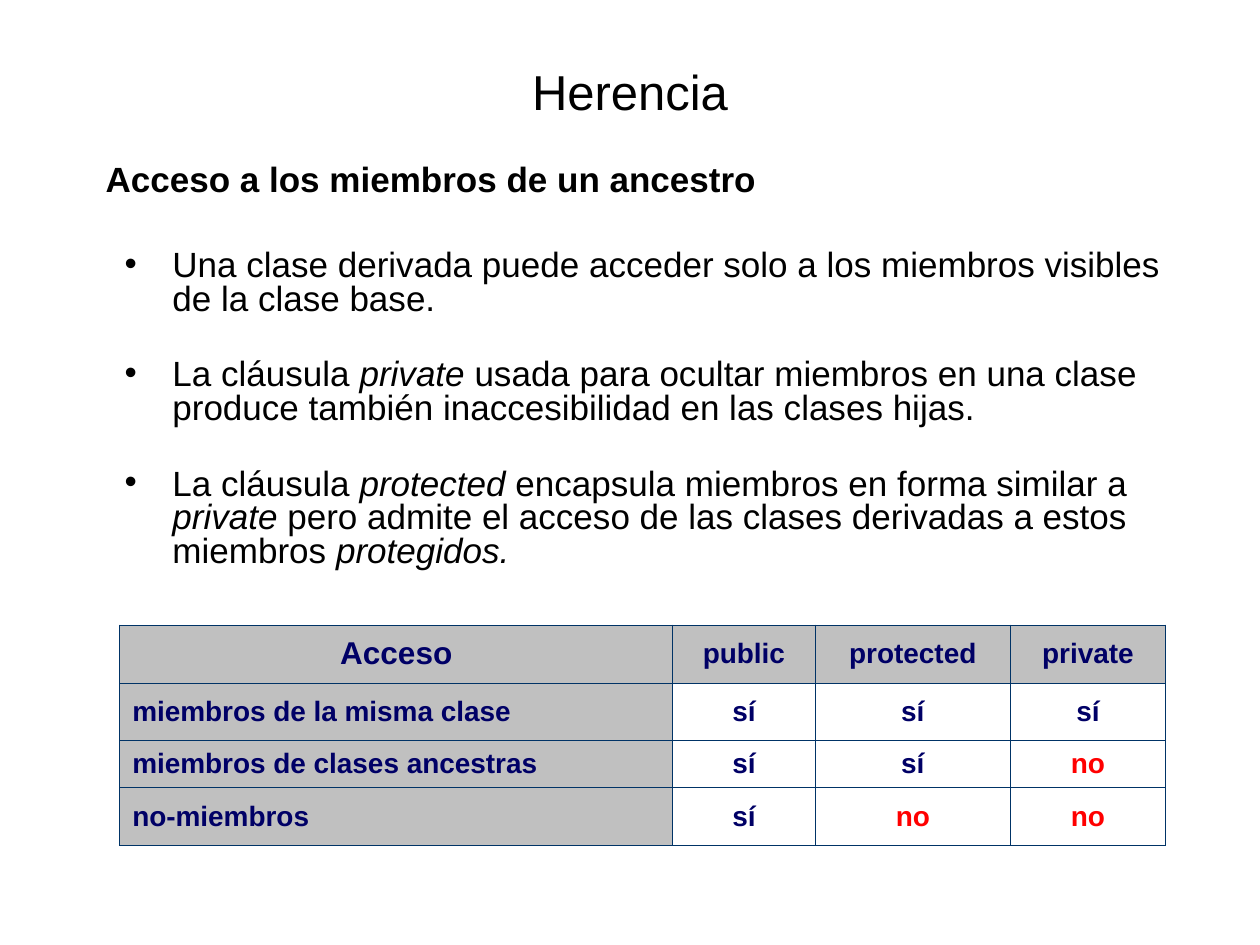
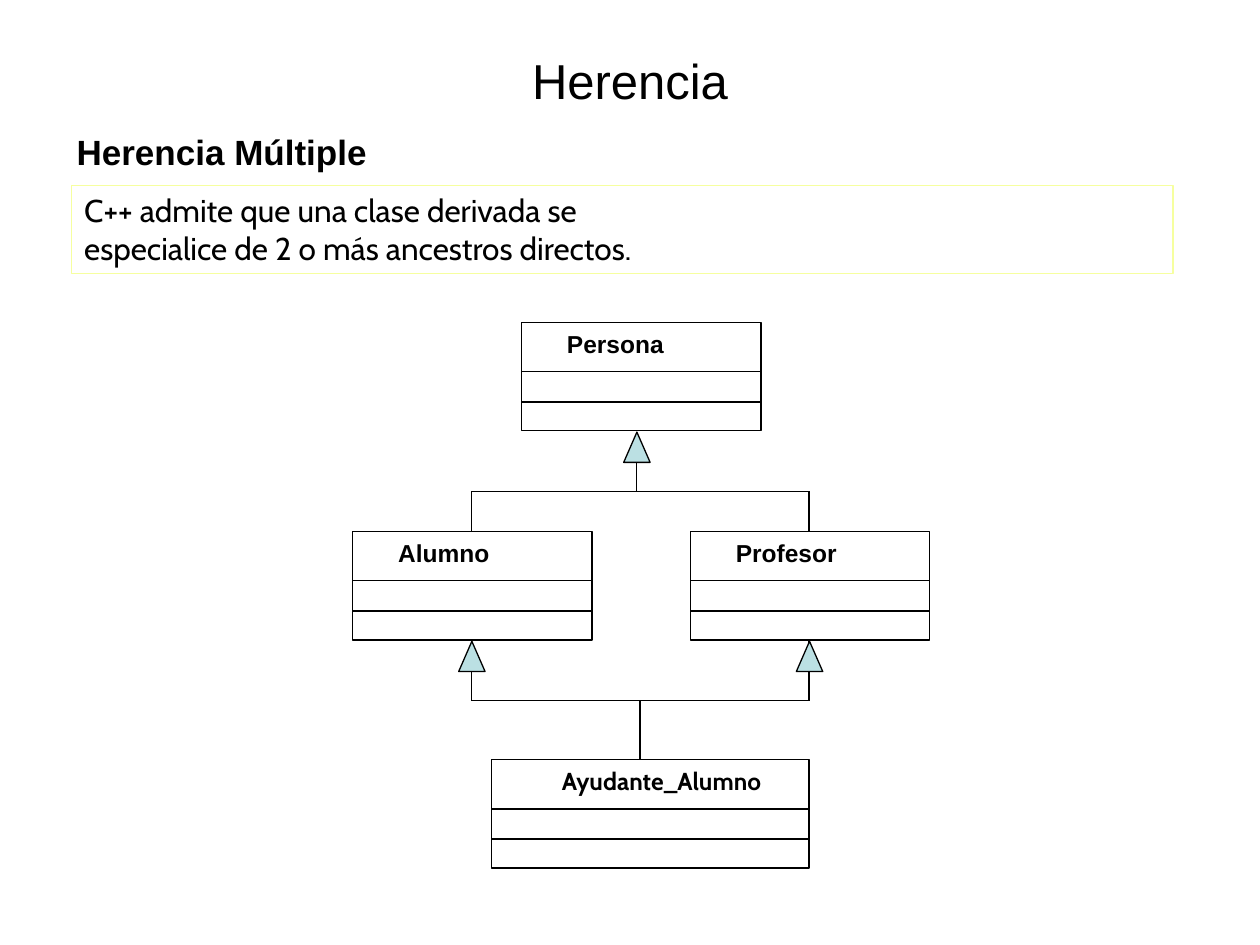
from lxml import etree
from pptx import Presentation
from pptx.dml.color import RGBColor
from pptx.enum.shapes import MSO_CONNECTOR, MSO_SHAPE
from pptx.enum.text import MSO_ANCHOR, PP_ALIGN
from pptx.oxml.ns import qn
from pptx.util import Emu, Pt

LEFT, MID = PP_ALIGN.LEFT, PP_ALIGN.CENTER
TOP, CENTER = MSO_ANCHOR.TOP, MSO_ANCHOR.MIDDLE
RECT, ARROW = MSO_SHAPE.RECTANGLE, MSO_SHAPE.ISOSCELES_TRIANGLE
STRAIGHT = MSO_CONNECTOR.STRAIGHT
SCALE = 9144
TITLE_ONLY = 5
BLACK, WHITE, GREY = "000000", "FFFFFF", "C0C0C0"
NAVY, RED, EDGE = "000066", "FF0000", "003366"
YELLOW, TEAL = "F6FF9F", "BBE0E3"
SANS, ROUND = "Arial", "Cabin"
CLASS_H, NAME_H, FIELD_H = 86, 39, 63
TIP_W, TIP_H, STEM = 21, 24, 47

POINTS = [
    "Una clase derivada puede acceder solo a los miembros visibles de la clase base.",
    "La cláusula *private* usada para ocultar miembros en una clase produce también "
    "inaccesibilidad en las clases hijas.",
    "La cláusula *protected* encapsula miembros en forma similar a *private* pero "
    "admite el acceso de las clases derivadas a estos miembros *protegidos.*",
]
ACCESS = [
    ["Acceso", "public", "protected", "private"],
    ["miembros de la misma clase", "sí", "sí", "sí"],
    ["miembros de clases ancestras", "sí", "sí", "no"],
    ["no-miembros", "sí", "no", "no"],
]


def px(*sizes):
    """Turn px lengths into EMU."""
    return [Emu(size * SCALE) for size in sizes]


def paint(color):
    """Turn a hex string into a colour."""
    return RGBColor.from_string(color)


def write(para, text, size=20, font=SANS, color=BLACK, bold=False, align=LEFT):
    """Write text with *italic* parts and line breaks into a paragraph."""
    para.alignment = align
    for row, line in enumerate(text.split("\n")):
        if row:
            para.add_line_break()
        for part, words in enumerate(line.split("*")):
            if words:
                run = para.add_run()
                run.text = words
                face = run.font
                face.size, face.name, face.bold = Pt(size), font, bold
                face.italic = part % 2 == 1
                face.color.rgb = paint(color)


def title(deck, text, top, height):
    """Add a slide with a centred title."""
    slide = deck.slides.add_slide(deck.slide_layouts[TITLE_ONLY])
    head = slide.shapes.title
    head.left, head.top, head.width, head.height = px(50, top, 900, height)
    head.text_frame.vertical_anchor = CENTER
    write(head.text_frame.paragraphs[0], text, size=28, align=MID)
    return slide


def topic(slide, text, left, top, width):
    """Add a bold heading on one line."""
    frame = slide.shapes.add_textbox(*px(left, top, width, 44)).text_frame
    frame.word_wrap = True
    frame.margin_right = 0
    write(frame.paragraphs[0], text, bold=True)


def shape(slide, kind, left, top, width, height, fill=WHITE, line=BLACK):
    """Add a filled shape and return it."""
    item = slide.shapes.add_shape(kind, *px(left, top, width, height))
    item.shadow.inherit = False
    item.fill.solid()
    item.fill.fore_color.rgb = paint(fill)
    if line:
        item.line.color.rgb = paint(line)
        item.line.width = Pt(0.75)
    else:
        item.line.fill.background()
    item.text_frame.word_wrap = True
    item.text_frame.vertical_anchor = TOP
    return item


def rule(slide, *ends):
    """Add a thin black line."""
    line = slide.shapes.add_connector(STRAIGHT, *px(*ends))
    line.line.color.rgb = paint(BLACK)
    line.line.width = Pt(0.75)
    etree.SubElement(line._element.spPr, qn("a:effectLst"))


def bullet(para):
    """Give a paragraph a hanging bullet."""
    props = para._p.get_or_add_pPr()
    indent = 38 * SCALE
    props.set("marL", str(indent))
    props.set("indent", str(-indent))
    tint = etree.SubElement(props, qn("a:buClr"))
    etree.SubElement(tint, qn("a:srgbClr"), val=BLACK)
    etree.SubElement(props, qn("a:buFont"), typeface=SANS)
    etree.SubElement(props, qn("a:buChar"), char="•")


def points(slide, texts):
    """Add the list of bullet points."""
    frame = shape(slide, RECT, 89, 194, 843, 268, line=None).text_frame
    for spot, text in enumerate(texts):
        para = frame.add_paragraph() if spot else frame.paragraphs[0]
        para.line_spacing = 0.8
        para.space_before = Pt(24 if spot else 5)
        bullet(para)
        write(para, text)


def border(cell):
    """Draw the four edges of a cell."""
    props = cell._tc.get_or_add_tcPr()
    for side in ("lnL", "lnR", "lnT", "lnB"):
        line = etree.SubElement(props, qn("a:" + side), w=str(Pt(0.45)))
        fill = etree.SubElement(line, qn("a:solidFill"))
        etree.SubElement(fill, qn("a:srgbClr"), val=EDGE)


def grid(slide, left, top, cols, rows, data):
    """Add the table of access rights."""
    frame = slide.shapes.add_table(
        len(rows), len(cols), *px(left, top, sum(cols), sum(rows)))
    table = frame.table
    table.first_row = table.horz_banding = False
    for col, width in zip(table.columns, px(*cols)):
        col.width = width
    for row, height in zip(table.rows, px(*rows)):
        row.height = height
    for r, words in enumerate(data):
        for c, word in enumerate(words):
            cell = table.cell(r, c)
            border(cell)
            cell.fill.solid()
            cell.fill.fore_color.rgb = paint(WHITE if r and c else GREY)
            cell.vertical_anchor = CENTER
            write(cell.text_frame.paragraphs[0], word, bold=True,
                  size=16 if r or c else 18,
                  color=RED if word == "no" else NAVY,
                  align=LEFT if r and not c else MID)


def entity(slide, name, left, top, width=190, inset=36, **style):
    """Add a class box with its two dividing lines."""
    box = shape(slide, RECT, left, top, width, CLASS_H)
    box.text_frame.margin_left = px(inset)[0]
    write(box.text_frame.paragraphs[0], name, size=14, bold=True, **style)
    for drop in (NAME_H, FIELD_H):
        rule(slide, left, top + drop, left + width, top + drop)


def parent(slide, x, top):
    """Add an inheritance arrow that points up at a class."""
    rule(slide, x, top + STEM, x, top)
    shape(slide, ARROW, x - TIP_W // 2, top, TIP_W, TIP_H, fill=TEAL)


def rights(deck):
    """Build the slide on access to members."""
    slide = title(deck, "Herencia", 30, 85)
    topic(slide, "Acceso a los miembros de un ancestro", 74, 120, 536)
    points(slide, POINTS)
    grid(slide, 95, 496, [439, 113, 155, 123], [46, 46, 37, 46], ACCESS)


def family(deck):
    """Build the slide on multiple inheritance."""
    slide = title(deck, "Herencia", 36, 55)
    note = shape(slide, RECT, 57, 147, 874, 70, line=YELLOW)
    write(note.text_frame.paragraphs[0],
          "C++ admite que una clase derivada se\n"
          "especialice de 2 o más ancestros directos.", size=18, font=ROUND)
    sides = (374, 642)
    entity(slide, "Persona", 414, 256)
    parent(slide, 505, 343)
    for name, x in zip(("Alumno", "Profesor"), sides):
        rule(slide, x, 390, x, 422)
        entity(slide, name, x - 94, 422)
        parent(slide, x, 509)
    for y in (390, 556):
        rule(slide, sides[0], y, sides[1], y)
    rule(slide, 508, 556, 508, 603)
    entity(slide, "Ayudante_Alumno", 390, 603, width=252, inset=28,
           font=ROUND, align=MID)
    topic(slide, "Herencia Múltiple", 51, 99, 250)


def main():
    """Build and save the deck."""
    deck = Presentation()
    deck.slide_width, deck.slide_height = px(1000, 750)
    rights(deck)
    family(deck)
    deck.save("out.pptx")


if __name__ == "__main__":
    main()
